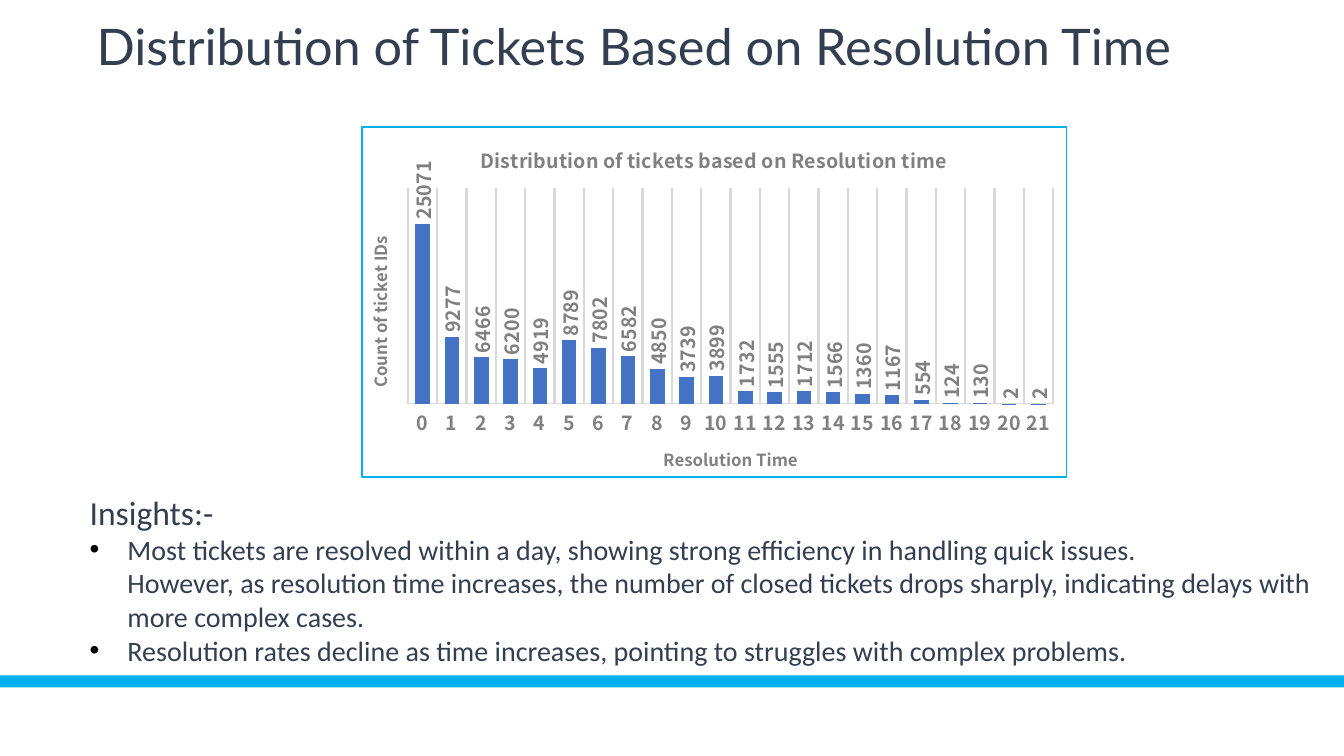
"""Build the slide on ticket distribution by resolution time."""
from lxml import etree
from pptx import Presentation
from pptx.chart.data import CategoryChartData
from pptx.dml.color import RGBColor
from pptx.enum.chart import XL_CHART_TYPE, XL_LABEL_POSITION, XL_TICK_MARK
from pptx.enum.shapes import MSO_SHAPE
from pptx.oxml import parse_xml
from pptx.oxml.ns import nsdecls, qn
from pptx.util import Pt

COLUMNS = XL_CHART_TYPE.COLUMN_CLUSTERED
OUTSIDE_END = XL_LABEL_POSITION.OUTSIDE_END
NO_TICK = XL_TICK_MARK.NONE
RECTANGLE = MSO_SHAPE.RECTANGLE
SKY, NAVY, GREY, PALE = "00B0F0", "333F50", "808080", "D9D9D9"
QUARTER_TURN = "-5400000"


def color(value):
    return RGBColor.from_string(value)


def style(font, name, size, value, bold=False):
    font.name = name
    font.size = Pt(size)
    font.bold = bold
    font.color.rgb = color(value)


deck = Presentation()
deck.slide_width, deck.slide_height = Pt(960), Pt(540)
page = deck.slides.add_slide(deck.slide_layouts[6])

band = page.shapes.add_shape(RECTANGLE, 0, Pt(482.4), Pt(960), Pt(8.6))
band.shadow.inherit = False
band.fill.solid()
band.fill.fore_color.rgb = color(SKY)
band.line.fill.background()

tickets = [25071, 9277, 6466, 6200, 4919, 8789, 7802, 6582, 4850, 3739, 3899,
           1732, 1555, 1712, 1566, 1360, 1167, 554, 124, 130, 2, 2]
data = CategoryChartData(number_format="0")
data.categories = [str(day) for day in range(len(tickets))]
data.add_series("Series 1", tickets)
chart = page.shapes.add_chart(
    COLUMNS, Pt(258), Pt(90), Pt(504.5), Pt(251.3), data).chart
chart.has_legend = False
style(chart.font, "Calibri", 10, "000000")

days, counts = chart.category_axis, chart.value_axis
chart.has_title = days.has_title = counts.has_title = True
for titled, words, size in [
    (chart.chart_title, "Distribution of tickets based on Resolution time", 14),
    (days.axis_title, "Resolution Time", 12),
    (counts.axis_title, "Count of ticket IDs", 12),
]:
    span = titled.text_frame.paragraphs[0].add_run()
    span.text = words
    style(span.font, "Noto Sans CJK SC", size, GREY, True)
chart.chart_title.include_in_layout = False

days.major_tick_mark = days.minor_tick_mark = NO_TICK
style(days.tick_labels.font, "Noto Sans CJK SC", 14, GREY, True)
days.has_major_gridlines = True
for line, width in [(days.format.line, 0.75),
                    (days.major_gridlines.format.line, 1.75)]:
    line.color.rgb = color(PALE)
    line.width = Pt(width)

counts.has_major_gridlines = False
counts.minimum_scale, counts.maximum_scale = 0, 30000
counts.visible = False

plot = chart.plots[0]
plot.gap_width, plot.overlap = 100, -90
plot.vary_by_categories = False
bars = plot.series[0]
bars.format.fill.solid()
bars.format.fill.fore_color.rgb = color("4472C4")

labels = bars.data_labels
labels.show_value = True
labels.position = OUTSIDE_END
labels.number_format, labels.number_format_is_linked = "0", False
style(labels.font, "Noto Sans CJK SC", 14, GREY, True)
for turned in (labels, counts.axis_title):
    for body in turned._element.iter(qn("a:bodyPr")):
        body.set("rot", QUARTER_TURN)
        body.set("vert", "horz")

space = chart._chartSpace
space.find(qn("c:chart")).addnext(parse_xml(
    f'<c:spPr {nsdecls("c", "a")}><a:noFill/><a:ln w="15875"><a:solidFill>'
    f'<a:srgbClr val="{SKY}"/></a:solidFill></a:ln></c:spPr>'))
plot_area = next(space.iter(qn("c:plotArea")))
for layout in plot_area.findall(qn("c:layout")):
    plot_area.remove(layout)
layout = parse_xml(f'<c:layout {nsdecls("c")}><c:manualLayout/></c:layout>')
for tag, value in [("layoutTarget", "inner"), ("xMode", "edge"),
                   ("yMode", "edge"), ("x", "0.065"), ("y", "0.175"),
                   ("w", "0.916"), ("h", "0.616")]:
    etree.SubElement(layout[0], qn(f"c:{tag}")).set("val", value)
plot_area.insert(0, layout)

title_box = page.shapes.add_textbox(Pt(64), Pt(13.7), Pt(789), Pt(62))
title = title_box.text_frame
title.word_wrap = True
title.margin_left = title.margin_right = Pt(5)
title.margin_top = title.margin_bottom = Pt(2.2)
para = title.paragraphs[0]
para.line_spacing = 0.9
span = para.add_run()
span.text = "Distribution of Tickets Based on Resolution Time"
style(span.font, "Lato", 36, NAVY)

insights_box = page.shapes.add_textbox(Pt(64), Pt(351.4), Pt(896), Pt(150.5))
insights = insights_box.text_frame
insights.word_wrap = True
insights.margin_left = insights.margin_right = 0
insights.margin_top = insights.margin_bottom = 0
span = insights.paragraphs[0].add_run()
span.text = "Insights:-"
style(span.font, "Calibri", 24, NAVY)

for lines in [
    ["Most tickets are resolved within a day, showing strong efficiency in "
     "handling quick issues.",
     "However, as resolution time increases, the number of closed tickets "
     "drops sharply, indicating delays with more complex cases."],
    ["Resolution rates decline as time increases, pointing to struggles with "
     "complex problems."],
]:
    para = insights.add_paragraph()
    props = para._p.get_or_add_pPr()
    props.set("marL", str(Pt(27)))
    props.set("indent", str(-Pt(27)))
    bullet_color = etree.SubElement(props, qn("a:buClr"))
    etree.SubElement(bullet_color, qn("a:srgbClr")).set("val", "000000")
    etree.SubElement(props, qn("a:buFont")).set("typeface", "Arial")
    etree.SubElement(props, qn("a:buChar")).set("char", "•")
    for number, words in enumerate(lines):
        if number:
            para.add_line_break()
        span = para.add_run()
        span.text = words
        style(span.font, "Calibri", 20, NAVY)

deck.save("out.pptx")
